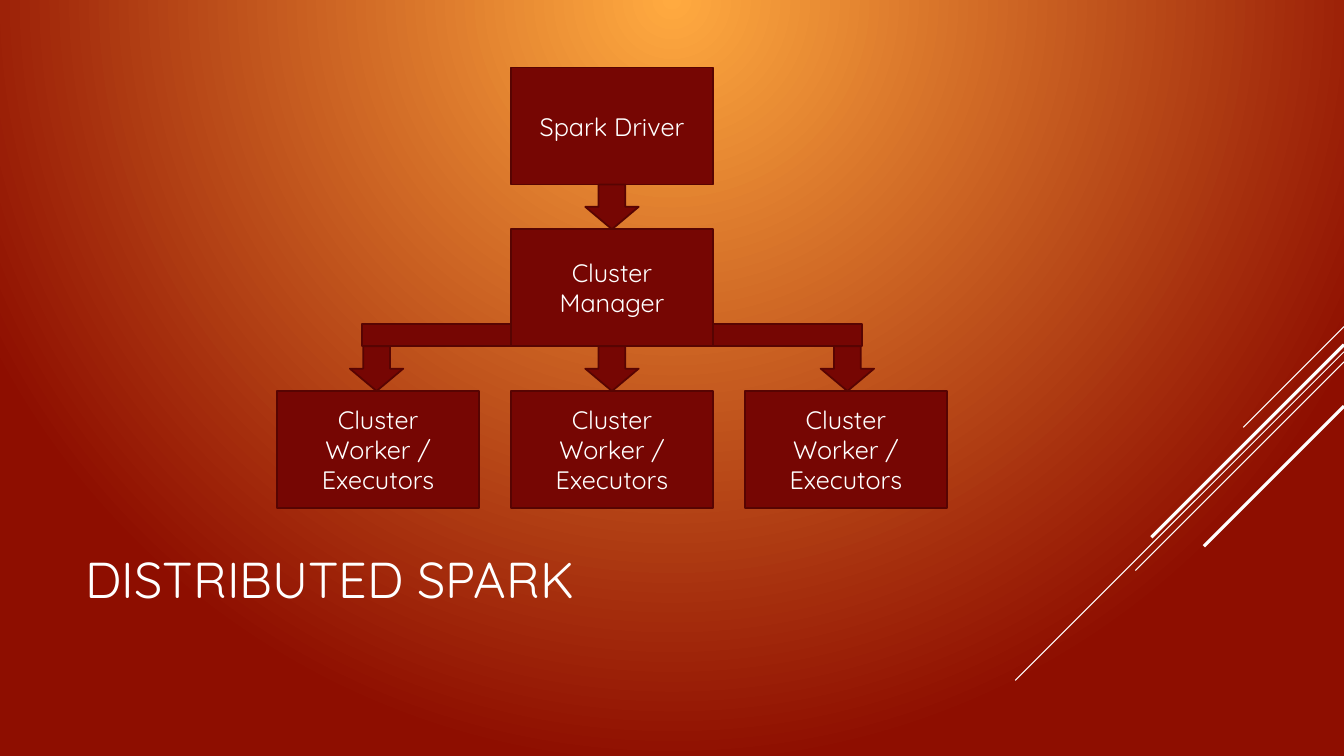
from dataclasses import dataclass

from lxml import etree
from pptx import Presentation
from pptx.dml import color as dml
from pptx.enum import shapes, text
from pptx.oxml import ns
from pptx import util as u

WIDTH, HEIGHT = 13.33, 7.5
FONT = "Quicksand"
COLOURS = {"glow": "FFAA40", "edge": "8E0E00", "box": "760603",
           "outline": "570402", "white": "FFFFFF"}

# Grid of the diagram, in inches
LEFT, TOP = 2.75, 0.67
COLUMN, ROW = 2.32, 1.605
BOX_WIDTH, BOX_HEIGHT = 2.0, 1.16
ARROW_WIDTH, RAIL_HEIGHT, RAIL_LENGTH = 0.53, 0.22, 1.48


@dataclass(frozen=True)
class Node:
    label: str
    column: int
    row: int


@dataclass(frozen=True)
class Arrow:
    column: int
    row: int


@dataclass(frozen=True)
class Streak:
    top: float
    reach: float
    weight: float


NODES = [Node("Spark Driver", 1, 0), Node("Cluster Manager", 1, 1)]
NODES += [Node("Cluster Worker / Executors", column, 2) for column in range(3)]
ARROWS = [Arrow(1, 0)] + [Arrow(column, 1) for column in range(3)]
STREAKS = [Streak(3.24, 1.0, 0.75), Streak(3.49, 3.26, 0.75),
           Streak(3.59, 2.07, 0.75), Streak(3.42, 1.91, 2.25),
           Streak(4.03, 1.39, 2.25)]


def rgb(name: str) -> dml.RGBColor:
    return dml.RGBColor.from_string(COLOURS[name])


def style_text(frame, size: float, align) -> None:
    frame.word_wrap = True
    frame.vertical_anchor = text.MSO_ANCHOR.MIDDLE
    for para in frame.paragraphs:
        para.alignment = align
        for span in para.runs:
            span.font.name = FONT
            span.font.size = u.Pt(size)
            span.font.color.rgb = rgb("white")


def paint_background(page) -> None:
    fill = page.background.fill
    fill.gradient()
    for stop, name, position in zip(fill.gradient_stops, ("glow", "edge"), (0, 1)):
        stop.color.rgb = rgb(name)
        stop.position = position
    # Turn the linear gradient into a circle centred on the top edge
    gradient = page.element.find(".//" + ns.qn("a:gradFill"))
    gradient.remove(gradient.find(ns.qn("a:lin")))
    circle = etree.SubElement(gradient, ns.qn("a:path"), path="circle")
    etree.SubElement(circle, ns.qn("a:fillToRect"), l="0", t="0", r="0", b="100000")


def draw_streak(page, streak: Streak) -> None:
    line = page.shapes.add_connector(
        shapes.MSO_CONNECTOR.STRAIGHT, u.Inches(WIDTH), u.Inches(streak.top),
        u.Inches(WIDTH - streak.reach), u.Inches(streak.top + streak.reach))
    line.line.color.rgb = rgb("white")
    line.line.width = u.Pt(streak.weight)
    etree.SubElement(line.element.spPr, ns.qn("a:effectLst"))


def draw_block(page, kind, left: float, top: float, width: float, height: float):
    block = page.shapes.add_shape(kind, *map(u.Inches, (left, top, width, height)))
    block.shadow.inherit = False
    block.fill.solid()
    block.fill.fore_color.rgb = rgb("box")
    block.line.color.rgb = rgb("outline")
    block.line.width = u.Pt(1.25)
    return block


def draw_node(page, node: Node) -> None:
    box = draw_block(page, shapes.MSO_SHAPE.RECTANGLE, LEFT + node.column * COLUMN,
                     TOP + node.row * ROW, BOX_WIDTH, BOX_HEIGHT)
    box.text_frame.text = node.label
    style_text(box.text_frame, 18, text.PP_ALIGN.CENTER)


def draw_arrow(page, arrow: Arrow) -> None:
    centre = LEFT + arrow.column * COLUMN + BOX_WIDTH / 2
    # The outer arrows stand slightly outside the centres of their boxes
    centre += 0.015 * (arrow.column - 1)
    draw_block(page, shapes.MSO_SHAPE.DOWN_ARROW, centre - ARROW_WIDTH / 2,
               TOP + arrow.row * ROW + BOX_HEIGHT, ARROW_WIDTH, ROW - BOX_HEIGHT)


def add_title(page, words: str) -> None:
    title = page.shapes.title
    title.left, title.top = u.Inches(0.75), u.Inches(4.91)
    title.width, title.height = u.Inches(0.7 * WIDTH), u.Inches(0.22 * HEIGHT)
    title.text_frame.text = words
    title.text_frame.auto_size = text.MSO_AUTO_SIZE.NONE
    style_text(title.text_frame, 36, text.PP_ALIGN.LEFT)


def main() -> None:
    deck = Presentation()
    deck.slide_width, deck.slide_height = u.Inches(WIDTH), u.Inches(HEIGHT)
    page = deck.slides.add_slide(deck.slide_layouts[5])

    # Backdrop and title
    paint_background(page)
    for streak in STREAKS:
        draw_streak(page, streak)
    add_title(page, "DISTRIBUTED SPARK")

    # Cluster diagram
    for node in NODES:
        draw_node(page, node)
    for arrow in ARROWS:
        draw_arrow(page, arrow)

    # Rails from the manager to the outer arrows
    manager_left = LEFT + COLUMN
    rail_top = TOP + ROW + BOX_HEIGHT - RAIL_HEIGHT
    for left in (manager_left - RAIL_LENGTH, manager_left + BOX_WIDTH):
        draw_block(page, shapes.MSO_SHAPE.RECTANGLE, left, rail_top,
                   RAIL_LENGTH, RAIL_HEIGHT)

    deck.save("out.pptx")


if __name__ == "__main__":
    main()
